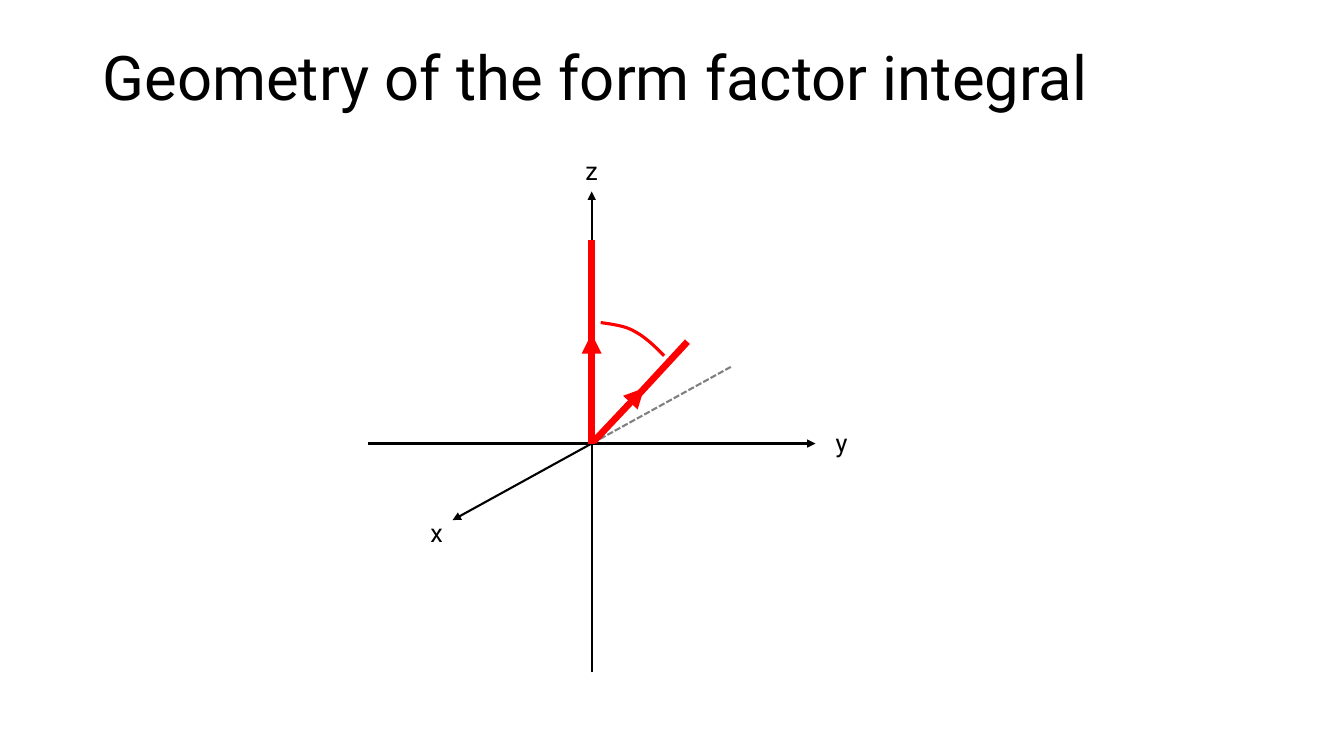
from pptx import Presentation
from pptx import util as u
from pptx.dml.color import RGBColor
from pptx.enum import dml, shapes, text
from pptx.oxml.ns import qn
from lxml import etree

# Grid: square cells, columns and rows counted from the slide's top left
CELL = u.Inches(0.1)
COLUMNS, ROWS = 133.33, 75
ORIGIN = (58.7, 44)  # where the three axes meet
BLACK, GREY, RED = "000000", "808080", "FF0000"
FONT = "Roboto"


def grid(count):
    return u.Emu(round(count * CELL))


def from_origin(column, row):
    """Turn a place counted from the origin (up is positive) into slide lengths."""
    return grid(ORIGIN[0] + column), grid(ORIGIN[1] - row)


def color(value):
    return RGBColor.from_string(value)


def add_text(slide, content, box, size=18, wrap=False, spacing=None,
             anchor=text.MSO_ANCHOR.TOP, fill=BLACK):
    shape = slide.shapes.add_textbox(*map(grid, box))
    frame = shape.text_frame
    frame.word_wrap = wrap
    frame.auto_size = (text.MSO_AUTO_SIZE.NONE if wrap
                       else text.MSO_AUTO_SIZE.SHAPE_TO_FIT_TEXT)
    frame.vertical_anchor = anchor
    paragraph = frame.paragraphs[0]
    paragraph.line_spacing = spacing
    run = paragraph.add_run()
    run.text = content
    run.font.name = FONT
    run.font.size = u.Pt(size)
    run.font.color.rgb = color(fill)


def add_line(parent, start, end, stroke=BLACK, width=1.5, arrow=False, dash=None):
    line = parent.shapes.add_connector(
        shapes.MSO_CONNECTOR.STRAIGHT, *from_origin(*start), *from_origin(*end))
    line.line.color.rgb = color(stroke)
    line.line.width = u.Pt(width)
    if dash:
        line.line.dash_style = dash
    if arrow:
        outline = line.line._get_or_add_ln()
        etree.SubElement(outline, qn("a:tailEnd"), type="triangle")
    etree.SubElement(line._element.spPr, qn("a:effectLst"))


def add_vector(slide, start, arrow_tip, rest, end):
    """A thick line with its arrowhead halfway along, kept as one group."""
    group = slide.shapes.add_group_shape()
    add_line(group, start, arrow_tip, RED, 4.75, arrow=True)
    add_line(group, rest, end, RED, 4.75)


def bezier(points, share):
    """Point at a share of the way along a Bezier curve."""
    while len(points) > 1:
        points = [tuple(a + (b - a) * share for a, b in zip(p, q))
                  for p, q in zip(points, points[1:])]
    return points[0]


def add_curve(slide, curves, stroke, width, steps=12):
    places = [curves[0][0]]
    for curve in curves:
        places += [bezier(curve, step / steps) for step in range(1, steps + 1)]
    places = [from_origin(*place) for place in places]
    builder = slide.shapes.build_freeform(*places[0], scale=1.0)
    builder.add_line_segments(places[1:], close=False)
    shape = builder.convert_to_shape()
    shape.shadow.inherit = False
    shape.fill.background()
    shape.line.color.rgb = color(stroke)
    shape.line.width = u.Pt(width)


def main():
    presentation = Presentation()
    presentation.slide_width = grid(COLUMNS)
    presentation.slide_height = grid(ROWS)
    slide = presentation.slides.add_slide(presentation.slide_layouts[6])

    # Title
    add_text(slide, "Geometry of the form factor integral", (9.2, 4, 115, 8),
             size=44, wrap=True, spacing=0.9, anchor=text.MSO_ANCHOR.MIDDLE)

    # Axes, with the hidden half of x dashed
    x_tip = (-13.8, -7.6)
    for start, tip in (((0, -22.7), (0, 25)),
                       ((-22.2, 0), (22.2, 0)),
                       ((0, 0), x_tip)):
        add_line(slide, start, tip, arrow=True)
    add_line(slide, (-x_tip[0], -x_tip[1]), (0, 0), GREY,
             dash=dml.MSO_LINE.SQUARE_DOT)

    # Axis names
    for name, column, row in (("x", 41.7, 50.8), ("y", 81.9, 41.9), ("z", 57.1, 14.9)):
        add_text(slide, name, (column, row, 3.1, 4))

    # Vectors along z and at an angle to it
    add_vector(slide, (0, 0), (0, 10.9), (0, 9.4), (0, 20.2))
    add_vector(slide, (0.2, 0.2), (5.2, 5.5), (4.6, 4.8), (9.5, 10.1))

    # Arc of the angle between the vectors
    middle = (4.3, 11.1)
    add_curve(slide, [[(0.9, 12), (2.1, 11.8), (3.3, 11.7), middle],
                      [middle, (5.4, 10.5), (6.3, 9.6), (7.2, 8.7)]], RED, 2.25)

    presentation.save("out.pptx")


if __name__ == "__main__":
    main()
